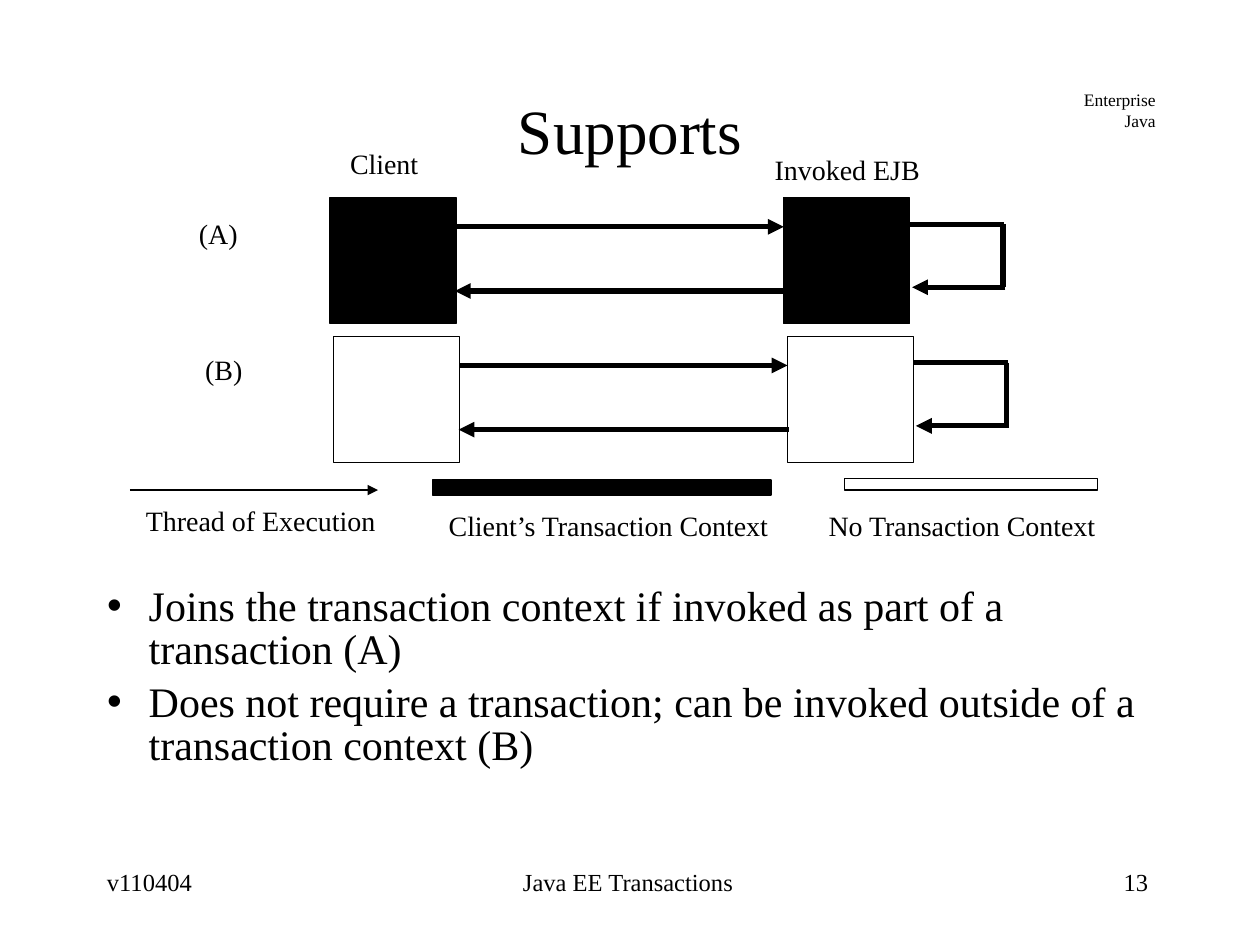
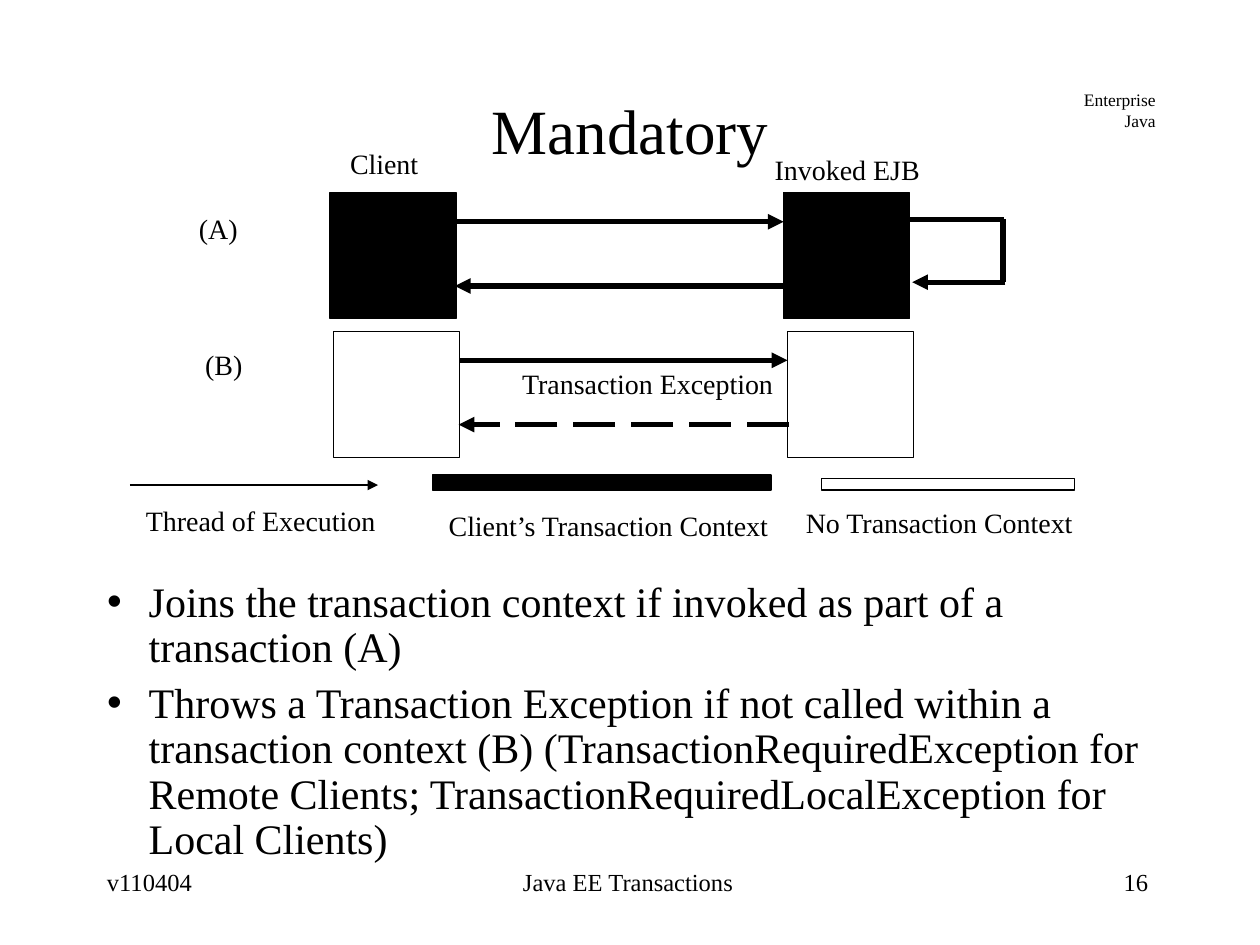
from dataclasses import dataclass

from lxml import etree
from pptx import Presentation
from pptx.dml.color import RGBColor
from pptx.enum import dml, shapes, text
from pptx.oxml import ns
from pptx.util import Inches, Pt


@dataclass(frozen=True)
class Theme:
    font: str = "Times New Roman"
    ink: RGBColor = RGBColor(0, 0, 0)
    title: int = 36
    body: int = 24
    label: int = 16
    footer: int = 14
    corner: int = 10
    thin: float = 0.75
    thick: float = 3
    tight: float = 0.29


THEME = Theme()
LEFT, CENTER, RIGHT = text.PP_ALIGN.LEFT, text.PP_ALIGN.CENTER, text.PP_ALIGN.RIGHT
BOX_SIZE = 1
EJB_OFFSET = 3.6
ROW_PITCH = 1.1
ROW_SHIFT = 0.03
ROW_LABEL_WIDTH = 0.55


def place(item, left, top, width, height):
    item.left, item.top = Inches(left), Inches(top)
    item.width, item.height = Inches(width), Inches(height)


def style_text(frame, size, align=LEFT, spacing=None):
    for para in frame.paragraphs:
        para.alignment = align
        para.line_spacing = spacing
        for span in para.runs:
            span.font.name = THEME.font
            span.font.size = Pt(size)
            span.font.color.rgb = THEME.ink


def add_text(page, words, area, size, align=LEFT, spacing=None, wrap=True):
    box = page.shapes.add_textbox(*map(Inches, area))
    frame = box.text_frame
    frame.text = words
    frame.word_wrap = wrap
    if not wrap:
        frame.auto_size = text.MSO_AUTO_SIZE.SHAPE_TO_FIT_TEXT
    style_text(frame, size, align, spacing)


def add_label(page, words, left, top, width, align=LEFT):
    add_text(page, words, (left, top - 0.01, width, 0.18), THEME.label, align, THEME.tight, False)


def add_rect(page, left, top, width, height, filled):
    rect = page.shapes.add_shape(shapes.MSO_SHAPE.RECTANGLE, *map(Inches, (left, top, width, height)))
    rect.shadow.inherit = False
    if filled:
        rect.fill.solid()
        rect.fill.fore_color.rgb = THEME.ink
    else:
        rect.fill.background()
    rect.line.color.rgb = THEME.ink
    rect.line.width = Pt(THEME.thin)


def add_line(page, start, end, weight=THEME.thick, arrow=True, dashed=False):
    line = page.shapes.add_connector(shapes.MSO_CONNECTOR.STRAIGHT, *map(Inches, (*start, *end)))
    line.line.color.rgb = THEME.ink
    line.line.width = Pt(weight)
    if dashed:
        line.line.dash_style = dml.MSO_LINE.LONG_DASH
    if arrow:
        etree.SubElement(line.line._get_or_add_ln(), ns.qn("a:tailEnd"), type="triangle")
    etree.SubElement(line._element.spPr, ns.qn("a:effectLst"))


def add_title(page, words):
    title = page.shapes.title
    place(title, 0.75, 0.67, 8.5, 1)
    title.text_frame.text = words
    title.text_frame.vertical_anchor = text.MSO_ANCHOR.MIDDLE
    title.text_frame.auto_size = text.MSO_AUTO_SIZE.NONE
    style_text(title.text_frame, THEME.title, CENTER, THEME.tight)


def add_bullets(page, points, top, height, spacing):
    body = page.placeholders[1]
    place(body, 0.75, top, 8.5, height)
    frame = body.text_frame
    frame.text = "\n".join(points)
    frame.auto_size = text.MSO_AUTO_SIZE.NONE
    style_text(frame, THEME.body, LEFT, spacing)
    for para in frame.paragraphs:
        para.space_before = Pt(6)
        properties = para._p.get_or_add_pPr()
        properties.set("marL", str(Inches(0.33)))
        properties.set("indent", str(-Inches(0.33)))
        etree.SubElement(properties, ns.qn("a:buChar"), char="•")


def add_frame(page, number):
    add_text(page, "Enterprise\nJava", (8.5, 0.66, 0.77, 0.44), THEME.corner, RIGHT, wrap=False)
    for words, left, width, align in (
        ("v110404", 0.75, 2.04, LEFT),
        ("Java EE Transactions", 3.42, 3.13, CENTER),
        (number, 7.17, 2.04, RIGHT),
    ):
        add_text(page, words, (left, 6.83, width, 0.46), THEME.footer, align)


def add_call_row(page, left, top, filled, fails=False):
    ejb = left + EJB_OFFSET
    for box_left in (left, ejb):
        add_rect(page, box_left, top, BOX_SIZE, BOX_SIZE, filled)
    add_line(page, (left + BOX_SIZE, top + 0.23), (ejb, top + 0.23))
    add_line(page, (ejb + 0.01, top + 0.74), (left + 0.99, top + 0.74), dashed=fails)
    if fails:
        add_label(page, "Transaction Exception", left + 1.39, top + 0.4, 2.2, CENTER)
    else:
        add_self_call(page, ejb + BOX_SIZE, top + 0.21)


def add_self_call(page, left, top):
    bottom = top + 0.5
    add_line(page, (left, top), (left + 0.75, top), arrow=False)
    add_line(page, (left + 0.74, top), (left + 0.74, bottom), arrow=False)
    add_line(page, (left + 0.76, bottom), (left + 0.02, bottom))


def add_legend(page, top, empty_left, empty_label_top):
    add_line(page, (1.03, top + 0.08), (3, top + 0.08), THEME.thin)
    add_label(page, "Thread of Execution", 1.06, 4.12, 2.02)
    add_rect(page, 3.43, top, 2.69, 0.12, True)
    add_label(page, "Client’s Transaction Context", 3.45, 4.16, 2.76, CENTER)
    add_rect(page, empty_left, 3.8, 2.01, 0.09, False)
    add_label(page, "No Transaction Context", empty_left - 0.23, empty_label_top, 2.33, CENTER)


def add_diagram(page, top, fails, empty_left, empty_label_top):
    add_label(page, "Client", 2.68, 1.28, 0.74)
    add_label(page, "Invoked EJB", 6.05, 1.33, 1.35)
    add_label(page, "(A)", 1.48, top + 0.27, ROW_LABEL_WIDTH)
    add_label(page, "(B)", 1.53, top + 1.35, ROW_LABEL_WIDTH)
    add_call_row(page, 2.62, top, True)
    add_call_row(page, 2.62 + ROW_SHIFT, top + ROW_PITCH, False, fails)
    add_legend(page, top + 2.24, empty_left, empty_label_top)


def add_page(deck, number, title):
    page = deck.slides.add_slide(deck.slide_layouts[1])
    add_frame(page, number)
    add_title(page, title)
    return page


def main():
    deck = Presentation()
    deck.slide_width, deck.slide_height = Inches(10), Inches(7.5)
    joins = "Joins the transaction context if invoked as part of a transaction (A)"

    supports = add_page(deck, "13", "Supports")
    add_diagram(supports, 1.57, False, 6.7, 4.16)
    add_bullets(supports, [
        joins,
        "Does not require a transaction; can be invoked outside of a transaction context (B)",
    ], 4.61, 2.06, 0.85)

    mandatory = add_page(deck, "16", "Mandatory")
    add_diagram(mandatory, 1.53, True, 6.52, 4.13)
    add_bullets(mandatory, [
        joins,
        "Throws a Transaction Exception if not called within a transaction context (B) "
        "(TransactionRequiredException for Remote Clients; "
        "TransactionRequiredLocalException for Local Clients)",
    ], 4.56, 2.35, 0.9)

    deck.save("out.pptx")


if __name__ == "__main__":
    main()
